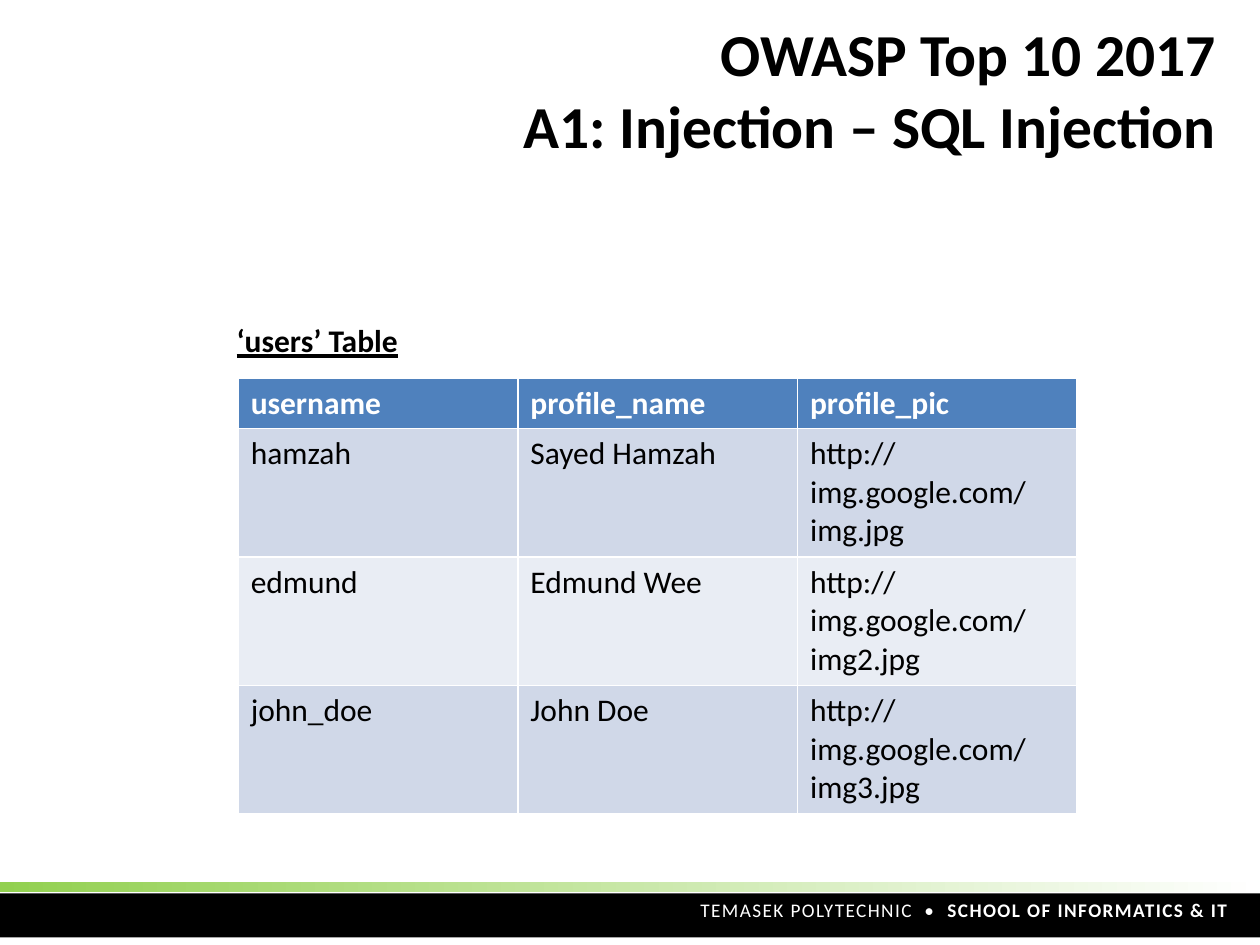
from pptx import Presentation
from pptx.dml.color import RGBColor
from pptx.enum.shapes import MSO_SHAPE
from pptx.enum.text import MSO_ANCHOR, PP_ALIGN
from pptx.util import Inches, Pt

BLACK = RGBColor(0x00, 0x00, 0x00)
WHITE = RGBColor(0xFF, 0xFF, 0xFF)
GREEN = RGBColor(0x92, 0xD0, 0x50)
HEADER_BLUE = RGBColor(0x4F, 0x81, 0xBD)
BAND_DARK = RGBColor(0xD0, 0xD8, 0xE8)
BAND_LIGHT = RGBColor(0xE9, 0xED, 0xF4)

USERS = [
    ("username", "profile_name", "profile_pic"),
    ("hamzah", "Sayed Hamzah", "http://img.google.com/img.jpg"),
    ("edmund", "Edmund Wee", "http://img.google.com/img2.jpg"),
    ("john_doe", "John Doe", "http://img.google.com/img3.jpg"),
]


class SlideBuilder:
    font_name = "Calibri"
    body_size = 18

    def __init__(self, page):
        self.page = page

    def style(self, span, size=body_size, color=BLACK, bold=False):
        span.font.name = self.font_name
        span.font.size = Pt(size)
        span.font.bold = bold
        span.font.color.rgb = color

    def bar(self, left, top, width, height, color, fade_to=None):
        shape = self.page.shapes.add_shape(
            MSO_SHAPE.RECTANGLE, Inches(left), Inches(top), Inches(width), Inches(height))
        shape.shadow.inherit = False
        shape.line.fill.background()
        if fade_to is None:
            shape.fill.solid()
            shape.fill.fore_color.rgb = color
        else:
            shape.fill.gradient()
            shape.fill.gradient_angle = 0
            for stop, stop_color in zip(shape.fill.gradient_stops, (color, fade_to)):
                stop.color.rgb = stop_color

    def text(self, left, top, width, height, parts, size=body_size, color=BLACK,
             align=PP_ALIGN.LEFT, anchor=MSO_ANCHOR.TOP, underline=False, spacing=0):
        box = self.page.shapes.add_textbox(
            Inches(left), Inches(top), Inches(width), Inches(height))
        frame = box.text_frame
        frame.word_wrap = True
        frame.vertical_anchor = anchor
        para = frame.paragraphs[0]
        para.alignment = align
        for content, bold in parts:
            span = para.add_run()
            span.text = content
            self.style(span, size, color, bold)
            span.font.underline = underline
            if spacing:
                span.font._element.set("spc", str(spacing))
        return box

    def title(self, left, top, width, height, lines, size):
        box = self.text(left, top, width, height, [], align=PP_ALIGN.RIGHT,
                        anchor=MSO_ANCHOR.MIDDLE)
        para = box.text_frame.paragraphs[0]
        para.text = "\v".join(lines)
        for span in para.runs:
            self.style(span, size, bold=True)

    def table(self, left, top, column_width, header_height, row_height, records):
        columns = len(records[0])
        height = header_height + row_height * (len(records) - 1)
        table = self.page.shapes.add_table(
            len(records), columns, Inches(left), Inches(top),
            Inches(column_width * columns), Inches(height)).table
        for column in table.columns:
            column.width = Inches(column_width)
        for index, record in enumerate(records):
            is_header = index == 0
            band = BAND_DARK if index % 2 else BAND_LIGHT
            table.rows[index].height = Inches(header_height if is_header else row_height)
            for cell, content in zip(table.rows[index].cells, record):
                cell.fill.solid()
                cell.fill.fore_color.rgb = HEADER_BLUE if is_header else band
                cell.text_frame.text = content
                self.style(cell.text_frame.paragraphs[0].runs[0],
                           color=WHITE if is_header else BLACK, bold=is_header)


def main():
    deck = Presentation()
    deck.slide_width = Inches(10)
    deck.slide_height = Inches(7.5)
    builder = SlideBuilder(deck.slides.add_slide(deck.slide_layouts[6]))

    builder.bar(0, 7, 10, 0.08, GREEN, fade_to=WHITE)
    builder.bar(0, 7.09, 10, 0.35, BLACK)
    builder.text(4.67, 7.08, 5.17, 0.29,
                 [("TEMASEK POLYTECHNIC  •  ", False), ("SCHOOL OF INFORMATICS & IT", True)],
                 size=11, color=WHITE, align=PP_ALIGN.RIGHT, spacing=80)
    builder.title(1.75, 0.08, 8, 1.25,
                  ["OWASP Top 10 2017", "A1: Injection – SQL Injection"], size=34)
    builder.table(1.89, 3, 2.22, 0.4, 1.02, USERS)
    builder.text(1.78, 2.5, 2.63, 0.4, [("‘users’ Table", True)], underline=True)

    deck.save("out.pptx")


if __name__ == "__main__":
    main()
